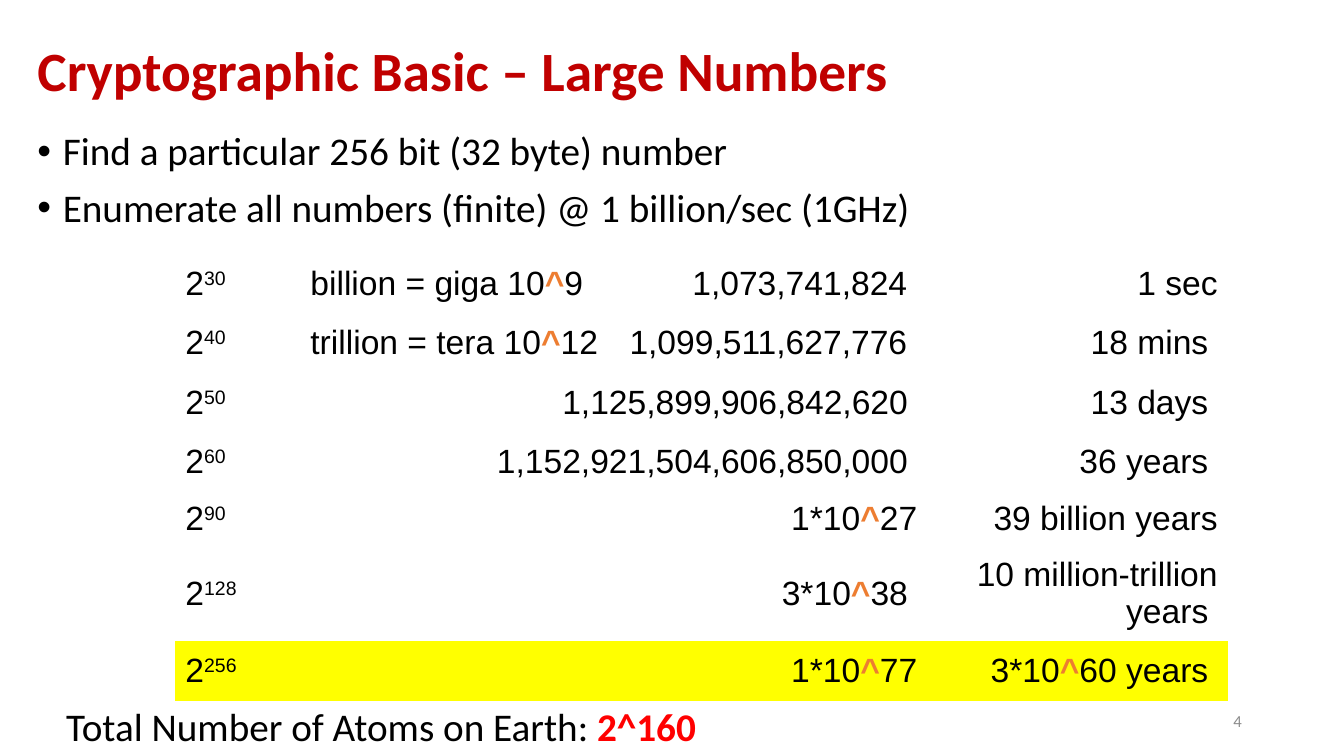
from dataclasses import dataclass

from lxml.etree import SubElement
from pptx import Presentation
from pptx.dml.color import RGBColor
from pptx.enum.text import MSO_ANCHOR, MSO_AUTO_SIZE, PP_ALIGN
from pptx.oxml.ns import qn
from pptx.util import Cm, Pt


@dataclass(frozen=True)
class Theme:
    heading_font: str = "Calibri"
    table_font: str = "Arial"
    title_color: str = "C00000"
    text_color: str = "000000"
    caret_color: str = "ED7D31"
    alert_color: str = "FF0000"
    muted_color: str = "8C8C8C"
    highlight: str = "FFFF00"
    title_size: float = 39.6
    body_size: float = 28
    table_size: float = 24
    number_size: float = 12
    plain_table: str = "{2D5ABB26-0587-4C30-8999-92F81FD0307C}"


def add_text(para, text, *, font, size, color, bold=False, raised=False):
    span = para.add_run()
    span.text = text
    span.font.name = font
    span.font.size = Pt(size)
    span.font.bold = bold
    span.font.color.rgb = RGBColor.from_string(color)
    if raised:
        span._r.get_or_add_rPr().set("baseline", "30000")


def place(shape, left, top, width, height):
    shape.left, shape.top = Cm(left), Cm(top)
    shape.width, shape.height = Cm(width), Cm(height)


class SlideBuilder:
    def __init__(self, page, theme):
        self.page = page
        self.theme = theme
        self.heading = {"font": theme.heading_font, "color": theme.text_color}
        self.entry = {"font": theme.table_font, "size": theme.table_size}

    def title(self, text, area):
        box = self.page.shapes.title
        place(box, *area)
        frame = box.text_frame
        frame.auto_size = MSO_AUTO_SIZE.NONE
        frame.vertical_anchor = MSO_ANCHOR.MIDDLE
        para = frame.paragraphs[0]
        para.alignment = PP_ALIGN.LEFT
        para.line_spacing = 0.9
        add_text(para, text, font=self.theme.heading_font, bold=True,
                 size=self.theme.title_size, color=self.theme.title_color)

    def bullets(self, items, area):
        box = self.page.placeholders[1]
        place(box, *area)
        frame = box.text_frame
        frame.auto_size = MSO_AUTO_SIZE.NONE
        for index, item in enumerate(items):
            para = frame.add_paragraph() if index else frame.paragraphs[0]
            para.line_spacing = 0.9
            para.space_before = Pt(10)
            add_text(para, item, size=self.theme.body_size, **self.heading)
            properties = para._p.get_or_add_pPr()
            properties.set("marL", str(Cm(0.64)))
            properties.set("indent", str(-Cm(0.64)))
            SubElement(properties, qn("a:buFont"), typeface="Arial")
            SubElement(properties, qn("a:buChar"), char="•")

    def text_box(self, spans, area, align=PP_ALIGN.LEFT, anchor=MSO_ANCHOR.TOP, wrap=True):
        box = self.page.shapes.add_textbox(*map(Cm, area))
        frame = box.text_frame
        frame.word_wrap = wrap
        frame.vertical_anchor = anchor
        para = frame.paragraphs[0]
        para.alignment = align
        for text, style in spans:
            add_text(para, text, **{**self.heading, **style})

    def exponent(self, cell, power):
        para = cell.text_frame.paragraphs[0]
        for text, raised in (("2", False), (power, True)):
            add_text(para, text, color=self.theme.text_color, raised=raised, **self.entry)

    def amount(self, cell, text):
        para = cell.text_frame.paragraphs[0]
        if "\t" in text:
            para.alignment = PP_ALIGN.LEFT
            stops = SubElement(para._p.get_or_add_pPr(), qn("a:tabLst"))
            for position, side in ((1.14, "l"), (16.18, "r")):
                SubElement(stops, qn("a:tab"), pos=str(Cm(position)), algn=side)
        else:
            para.alignment = PP_ALIGN.RIGHT
        before, caret, after = text.partition("^")
        add_text(para, before, color=self.theme.text_color, **self.entry)
        if caret:
            add_text(para, caret, color=self.theme.caret_color, bold=True, **self.entry)
            add_text(para, after, color=self.theme.text_color, **self.entry)

    def table(self, rows, left, top, widths, heights):
        frame = self.page.shapes.add_table(
            len(rows), len(widths), Cm(left), Cm(top), Cm(sum(widths)), Cm(sum(heights)))
        table = frame.table
        table.first_row = table.horz_banding = False
        table._tbl.tblPr.find(qn("a:tableStyleId")).text = self.theme.plain_table
        for column, width in zip(table.columns, widths):
            column.width = Cm(width)
        for row, height, (power, count, duration) in zip(table.rows, heights, rows):
            row.height = Cm(height)
            power_cell, count_cell, duration_cell = row.cells
            self.exponent(power_cell, power)
            self.amount(count_cell, count)
            self.amount(duration_cell, duration)
            for cell in row.cells:
                cell.vertical_anchor = MSO_ANCHOR.MIDDLE
                cell.fill.background()
        for cell in row.cells:
            cell.fill.solid()
            cell.fill.fore_color.rgb = RGBColor.from_string(self.theme.highlight)


NUMBERS = [
    ("30", "\tbillion = giga 10^9\t1,073,741,824", "1 sec"),
    ("40", "\ttrillion = tera 10^12\t1,099,511,627,776", "18 mins "),
    ("50", "1,125,899,906,842,620 ", "13 days "),
    ("60", "1,152,921,504,606,850,000 ", "36 years "),
    ("90", "1*10^27", "39 billion years"),
    ("128", "3*10^38 ", "10 million-trillion years "),
    ("256", "1*10^77", "3*10^60 years "),
]

theme = Theme()
deck = Presentation()
deck.slide_width, deck.slide_height = Cm(33.87), Cm(19.05)
builder = SlideBuilder(deck.slides.add_slide(deck.slide_layouts[1]), theme)

builder.title("Cryptographic Basic – Large Numbers", (0.69, 0.94, 32.82, 1.85))
builder.bullets(
    ["Find a particular 256 bit (32 byte) number",
     "Enumerate all numbers (finite) @ 1 billion/sec (1GHz)"],
    (0.69, 3.2, 32.82, 4.5))
builder.text_box(
    [("4", {"size": theme.number_size, "color": theme.muted_color})],
    (23.93, 17.65, 7.62, 1.02), align=PP_ALIGN.RIGHT, anchor=MSO_ANCHOR.MIDDLE)
builder.table(NUMBERS, 4.42, 6.4, [2.01, 16.94, 7.57], [1.5] * 4 + [1.35, 2.41, 1.5])
builder.text_box(
    [("Total Number of Atoms on Earth: ", {"size": theme.body_size}),
     ("2^160", {"size": theme.body_size, "color": theme.alert_color, "bold": True})],
    (1.42, 17.58, 16.59, 1.45), wrap=False)

deck.save("out.pptx")
